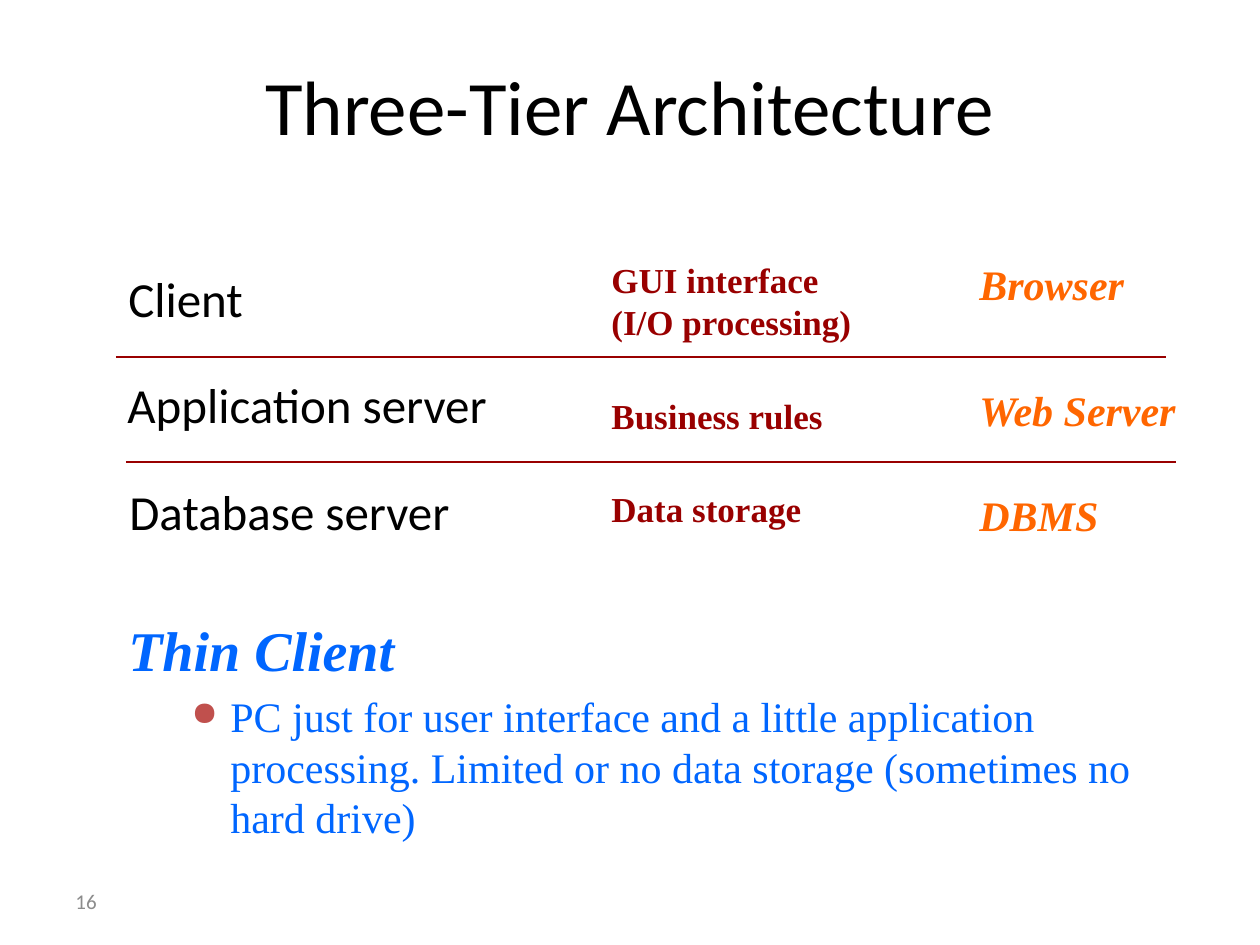
from lxml.etree import SubElement
from pptx import Presentation
from pptx.dml.color import RGBColor
from pptx.enum.shapes import MSO_CONNECTOR
from pptx.enum.text import MSO_ANCHOR, MSO_AUTO_SIZE, PP_ALIGN
from pptx.oxml.ns import qn
from pptx.util import Pt

PX = 914400 // 126
SANS, SERIF = "Calibri", "Times New Roman"
BLACK, GREY, RED, ORANGE, BLUE, BULLET = (
    "000000", "8C8C8C", "990000", "FF6600", "0066FF", "C0504D")


def color(value):
    return RGBColor.from_string(value)


def style(para, size, name, tone, bold=False, italic=False):
    font = para.font
    font.size, font.name = Pt(size), name
    font.bold, font.italic = bold, italic
    font.color.rgb = color(tone)


def indent(para, margin, first=0):
    properties = para._p.get_or_add_pPr()
    properties.set("marL", str(margin * PX))
    properties.set("indent", str(first * PX))
    return properties


def add_text(page, box, lines, look, wrap=True, anchor=MSO_ANCHOR.TOP, grow=False):
    """Place lines of one look in box (left, top, width, height)."""
    frame = page.shapes.add_textbox(*(value * PX for value in box)).text_frame
    frame.word_wrap = wrap
    frame.vertical_anchor = anchor
    frame.auto_size = MSO_AUTO_SIZE.SHAPE_TO_FIT_TEXT if grow else MSO_AUTO_SIZE.NONE
    for index, line in enumerate(lines):
        para = frame.paragraphs[0] if index == 0 else frame.add_paragraph()
        para.text = line
        style(para, *look)
    return frame


def add_title(page, box):
    frame = add_text(page, box, ["Three-Tier Architecture"], (44, SANS, BLACK),
                     anchor=MSO_ANCHOR.MIDDLE)
    frame.paragraphs[0].alignment = PP_ALIGN.CENTER


def add_rule(page, left, top, width):
    line = page.shapes.add_connector(
        MSO_CONNECTOR.STRAIGHT, left * PX, top * PX, (left + width) * PX, top * PX)
    line.line.color.rgb = color(RED)
    line.line.width = Pt(1)
    SubElement(line._element.spPr, qn("a:effectLst"))


def add_tiers(page, box):
    """Three tiers: name, role and example, with rules between them."""
    left, top, width, _ = box
    # name, its box and indent; role lines and box; example and box
    tiers = [
        ("Client", (64, 10, 146), 0,
         ["GUI interface", "(I/O processing)"], (0, 336, 97), "Browser", (0, 170)),
        ("Application server", (0, 116, 473), 63,
         ["Business rules"], (136, 273, 54), "Web Server", (126, 224)),
        ("Database server", (2, 223, 438), 63,
         ["Data storage"], (229, 273, 54), "DBMS", (231, 145)),
    ]
    for name, name_box, margin, role, role_box, example, example_box in tiers:
        x, y, name_width = name_box
        frame = add_text(page, (left + x, top + y, name_width, 72), [name],
                         (28, SANS, BLACK), wrap=False, grow=True)
        indent(frame.paragraphs[0], margin)
        y, role_width, role_height = role_box
        add_text(page, (left + 547, top + y, role_width, role_height), role,
                 (20, SERIF, RED, True), grow=True)
        y, example_width = example_box
        add_text(page, (left + 915, top + y, example_width, 63), [example],
                 (24, SERIF, ORANGE, True, True), wrap=False, grow=True)
    for x, y in ((64, 105), (74, 210)):
        add_rule(page, left + x, top + y, width)


def add_thin_client(page, box):
    """Heading with one bulleted explanation."""
    frame = add_text(page, box, ["Thin Client"], (32, SERIF, BLUE, True, True))
    indent(frame.paragraphs[0], 48, -48)
    para = frame.add_paragraph()
    para.text = ("PC just for user interface and a little application processing. "
                 "Limited or no data storage (sometimes no hard drive)")
    para.level = 1
    para.space_before = Pt(4.8)
    properties = indent(para, 102, -39)
    tone = SubElement(properties, qn("a:buClr"))
    SubElement(tone, qn("a:srgbClr"), val=BULLET)
    SubElement(properties, qn("a:buSzPct"), val="80000")
    SubElement(properties, qn("a:buChar"), char="●")
    style(para, 24, SERIF, BLUE)


def add_page_number(page, box):
    add_text(page, box, ["16"], (12, SANS, GREY), anchor=MSO_ANCHOR.MIDDLE)


def main():
    deck = Presentation()
    deck.slide_width, deck.slide_height = 1260 * PX, 945 * PX
    page = deck.slides.add_slide(deck.slide_layouts[6])
    add_page_number(page, (63, 876, 294, 50))
    add_title(page, (63, 10, 1134, 189))
    add_thin_client(page, (116, 609, 1071, 252))
    add_tiers(page, (52, 252, 1050, 294))
    deck.save("out.pptx")


if __name__ == "__main__":
    main()
